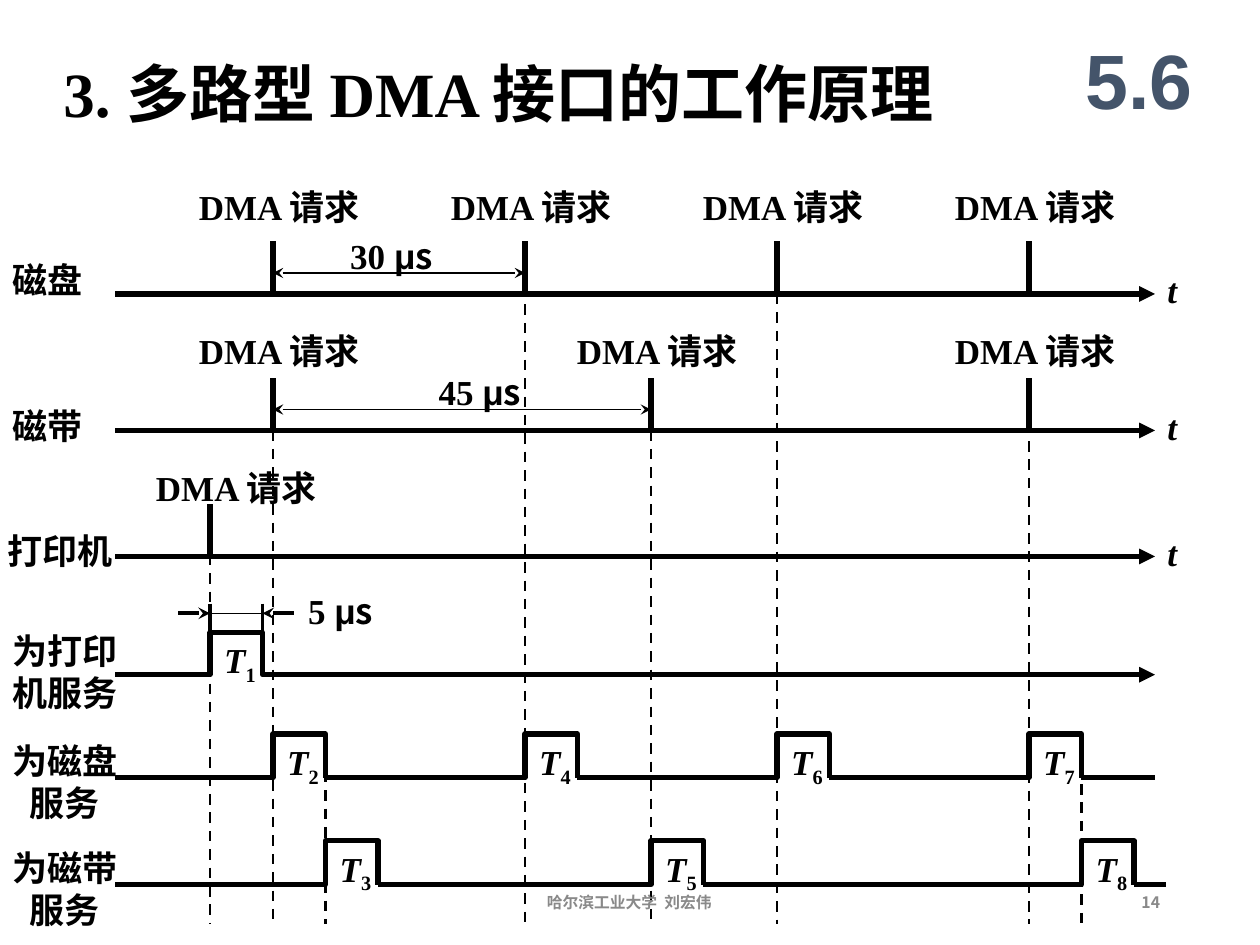
import pptx
import pptx.util
import pptx.dml.color
import pptx.enum.dml
import pptx.enum.shapes
import pptx.enum.text
import pptx.oxml
from pptx.oxml import ns

Pt = pptx.util.Pt
ALIGN = pptx.enum.text.PP_ALIGN
ANCHOR = pptx.enum.text.MSO_ANCHOR
HEX = {"ink": "000000", "mark": "44546A", "foot": "898989"}
SERIF, SANS, CJK = "Times New Roman", "Arial", "Noto Sans CJK SC"

LEFT, RIGHT = 66, 660  # ends of the time axes
ZERO, SCALE = 156, 4.8  # position of the first disk request, points per μs
PULSE = 30  # width of a service pulse


def at(time):
    return ZERO + SCALE * time


class Board:
    def __init__(self, slide):
        self.slide = slide

    def run(self, para, text, size=20, font=SERIF, color="ink", italic=False, sub=False):
        run = para.add_run()
        run.text = text
        face = run.font
        face.size, face.bold, face.italic = Pt(size), True, italic
        face.color.rgb = pptx.dml.color.RGBColor.from_string(HEX[color])
        face.name = font
        props = run._r.get_or_add_rPr()
        east = pptx.oxml.parse_xml(f'<a:ea {ns.nsdecls("a")} typeface="{CJK}"/>')
        props.append(east)
        if sub:
            props.set("baseline", "-25000")

    def fill(self, box, lines, align, anchor, wrap):
        frame = box.text_frame
        frame.word_wrap = wrap
        frame.auto_size = pptx.enum.text.MSO_AUTO_SIZE.NONE
        frame.vertical_anchor = anchor
        for i, line in enumerate(lines):
            para = frame.add_paragraph() if i else frame.paragraphs[0]
            para.alignment = align
            for text, style in line:
                self.run(para, text, **style)

    def text(self, x, y, w, h, *lines, align=ALIGN.LEFT, anchor=ANCHOR.TOP, wrap=False):
        box = self.slide.shapes.add_textbox(Pt(x), Pt(y), Pt(w), Pt(h))
        self.fill(box, lines, align, anchor, wrap)

    def title(self, x, y, w, h, text):
        box = self.slide.shapes.title
        box.left, box.top, box.width, box.height = Pt(x), Pt(y), Pt(w), Pt(h)
        self.fill(box, [[(text, {"size": 36})]], ALIGN.LEFT, ANCHOR.TOP, False)

    def stroke(self, shape, width, head=None, tail=None, dash=False):
        line = shape.line
        line.color.rgb = pptx.dml.color.RGBColor.from_string(HEX["ink"])
        line.width = Pt(width)
        if dash:
            line.dash_style = pptx.enum.dml.MSO_LINE.DASH
        for tag, kind in (("headEnd", head), ("tailEnd", tail)):
            if kind:
                end = f'<a:{tag} {ns.nsdecls("a")} type="{kind}"/>'
                line._get_or_add_ln().append(pptx.oxml.parse_xml(end))

    def line(self, x1, y1, x2, y2, width=3, **ends):
        link = self.slide.shapes.add_connector(
            pptx.enum.shapes.MSO_CONNECTOR.STRAIGHT, Pt(x1), Pt(y1), Pt(x2), Pt(y2))
        self.stroke(link, width, **ends)
        plain = pptx.oxml.parse_xml(f'<a:effectLst {ns.nsdecls("a")}/>')
        link._element.spPr.append(plain)

    def pulse(self, start, x, base, name, stop=None, rise=25):
        """Flat line from start, then a pulse at x; an arrow on to stop if given."""
        top, end = base - rise, x + PULSE
        points = [(x, base), (x, top), (end, top), (end, base)]
        if stop:
            points.append((stop, base))
        pen = self.slide.shapes.build_freeform(Pt(start), Pt(base))
        pen.add_line_segments([(Pt(a), Pt(b)) for a, b in points], close=False)
        shape = pen.convert_to_shape()
        shape.shadow.inherit = False
        shape.fill.background()
        self.stroke(shape, 3, tail="triangle" if stop else None)
        self.text(x + 1, top, 33, 35,
                  [("T", {"italic": True}), (name, {"sub": True})])
        return end

    def span(self, x, y, w, count):
        self.text(x, y, w, 32, [(count + " ", {}), ("μ", {"font": SANS}),
                                ("s", {"font": CJK})])

    def axis(self, y, ticks, name, place, lift, shift=49.5, rise=30):
        self.line(LEFT, y, RIGHT, y, tail="triangle")
        for x in ticks:
            self.line(x, y - rise, x, y)
            self.text(x - shift, y - lift, 112, 32, [("DMA 请求", {})])
        self.text(*place, 32, [(name, {})])
        self.text(RIGHT, y - 18, 20, 32, [("t", {"italic": True})])

    def note(self, x, y, w, h, text, size, font, color, align):
        style = {"size": size, "font": font, "color": color}
        self.text(x, y, w, h, [(text, style)], align=align, anchor=ANCHOR.MIDDLE, wrap=True)


def main():
    deck = pptx.Presentation()
    deck.slide_width, deck.slide_height = Pt(720), Pt(540)
    board = Board(deck.slides.add_slide(deck.slide_layouts[5]))
    disk, tape, job = [at(t) for t in (0, 30, 60, 90)], [at(t) for t in (0, 45, 90)], 120

    # Title and section number
    board.title(29, 27.5, 539, 50, "3. 多路型 DMA 接口的工作原理")
    board.note(606, 12, 90, 66, "5.6", 44, SANS, "mark", ALIGN.CENTER)

    # Service rows
    rows = ((356, "为打印", "机服务"), (419, "为磁盘", "服务"), (480, "为磁带", "服务"))
    for y, *words in rows:
        board.text(0, y, 74, 55, *[[(word, {})] for word in words], align=ALIGN.CENTER)
    board.pulse(LEFT, job, 385.5, "1", stop=RIGHT, rise=24)
    late = [disk[0] + PULSE, tape[1], disk[3] + PULSE]
    for base, spots, names, stop in ((444.5, disk, "2467", RIGHT), (505.5, late, "358", 666)):
        start = LEFT
        for x, name in zip(spots, names):
            start = board.pulse(start, x, base, name)
        board.line(start, base, stop, base)

    # Width of the printer pulse
    end = job + PULSE
    for x in (job, end):
        board.line(x, 345, x, 363, 2.25)
    board.line(job, 350.5, end, 350.5, 0.75)
    for x, far in ((job, job - 18), (end, end + 18)):
        board.line(far, 350.5, x, 350.5, 2.25, tail="stealth")
    board.span(169, 333.5, 53, "5")

    # Dashed guides
    guides = ((disk[0], 246), (disk[1], 174), (disk[2], 168), (disk[3], 252),
              (tape[1], 246), (job, 317), (late[0], 420), (late[2], 427))
    for x, top in guides:
        board.line(x, top, x, 528, 1.5, dash=True)

    # Request axes
    board.axis(318, [job], "打印机", (-3, 299, 74), 55, shift=38)
    board.axis(246, tape, "磁带", (0, 227.5, 54), 61)
    board.axis(168, disk, "磁盘", (0, 144, 54), 65.5)
    for x, y, place, count in ((tape[1], 234, (243.5, 208), "45"),
                               (disk[1], 156, (193, 130.5), "30")):
        board.line(ZERO, y, x, y, 1, head="stealth", tail="stealth")
        board.span(*place, 63, count)

    # Footer
    board.note(508, 501, 162, 29, "14", 9, CJK, "foot", ALIGN.RIGHT)
    board.note(238, 501, 243, 29, "哈尔滨工业大学  刘宏伟", 9, CJK, "foot", ALIGN.CENTER)

    deck.save("out.pptx")


if __name__ == "__main__":
    main()
